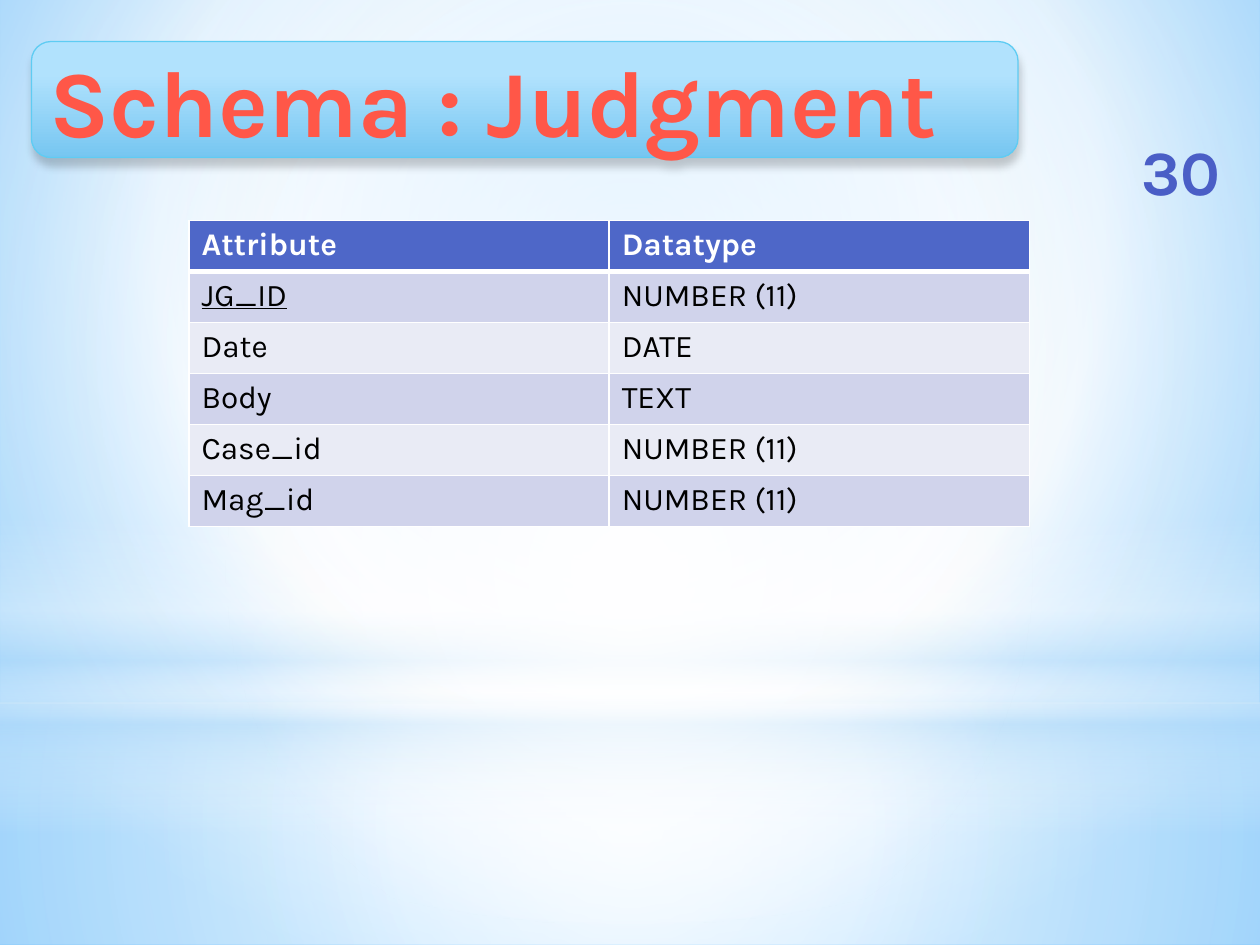
import pptx
import pptx.util
import pptx.dml.color
import pptx.enum.shapes
import pptx.enum.text
import pptx.oxml
import pptx.oxml.ns
from lxml import etree

Inches, Pt = pptx.util.Inches, pptx.util.Pt
RGB = pptx.dml.color.RGBColor
SHAPES = pptx.enum.shapes.MSO_SHAPE
ALIGN = pptx.enum.text.PP_ALIGN
qn = pptx.oxml.ns.qn

FONT = "Karla"
COLORS = {
    "white": "FFFFFF", "black": "000000", "sky": "B4DCFA",
    "bg_inner": "9ED5FF", "bg_outer": "5BB9FF",
    "title_top": "B1E2FD", "title_bottom": "76C6F1", "title_line": "5ECCF3",
    "title_text": "FF5748", "number": "4A5EC6",
    "header": "4E67C8", "band_dark": "D0D3EB", "band_light": "E9EBF5",
}
TITLE = "Schema : Judgment"
SLIDE_NUMBER = "30"
KEY = "JG_ID"
ATTRIBUTES = [
    ("Attribute", "Datatype"),
    (KEY, "NUMBER (11)"),
    ("Date", "DATE"),
    ("Body", "TEXT"),
    ("Case_id", "NUMBER (11)"),
    ("Mag_id", "NUMBER (11)"),
]
CENTER = (50, 50, 50, 50)
BACKGROUND = [(0, "bg_inner", 100), (60, "white", 100), (100, "bg_outer", 100)]
GLOWS = [
    (SHAPES.RECTANGLE, 5.58, 1.92, CENTER,
     [(0, "white", 91), (37, "white", 76), (100, "sky", 79)]),
    (SHAPES.RECTANGLE, 0, 5.58, CENTER,
     [(0, "white", 89), (48, "white", 62), (100, "sky", 79)]),
    (SHAPES.RECTANGLE, 4.12, 2.5, None,
     [(0, "white", 0), (29, "white", 30), (45, "sky", 40),
      (55, "white", 26), (65, "sky", 60), (100, "white", 0)]),
    (SHAPES.OVAL, 1.75, 5.58, CENTER, [(0, "white", 100), (56, "white", 0)]),
]


def color(name):
    return RGB.from_string(COLORS[name])


def add(parent, tag, **attributes):
    return etree.SubElement(parent, qn(tag), {k: str(v) for k, v in attributes.items()})


def add_color(parent, name, opacity=100):
    node = add(parent, "a:srgbClr", val=COLORS[name])
    if opacity < 100:
        add(node, "a:alpha", val=opacity * 1000)


def set_gradient(properties, stops, focus=None):
    solid = properties.find(qn("a:solidFill"))
    gradient = etree.Element(qn("a:gradFill"), rotWithShape="1")
    stop_list = add(gradient, "a:gsLst")
    for position, name, opacity in stops:
        add_color(add(stop_list, "a:gs", pos=position * 1000), name, opacity)
    if focus:
        circle = add(gradient, "a:path", path="circle")
        add(circle, "a:fillToRect", **{k: v * 1000 for k, v in zip("ltrb", focus)})
    else:
        add(gradient, "a:lin", ang=90 * 60000, scaled=0)
    properties.replace(solid, gradient)


def add_gradient_shape(slide, kind, box, stops, focus=None):
    shape = slide.shapes.add_shape(kind, *map(Inches, box))
    shape.shadow.inherit = False
    shape.line.fill.background()
    shape.fill.solid()
    set_gradient(shape._element.spPr, stops, focus)
    return shape


def write(frame, text, size, name, bold=False, align=ALIGN.LEFT, underline=False):
    paragraph = frame.paragraphs[0]
    paragraph.alignment = align
    run = paragraph.add_run()
    run.text = text
    font = run.font
    font.name, font.size, font.bold = FONT, Pt(size), bold
    font.underline = underline
    font.color.rgb = color(name)


def set_borders(cell, top, bottom):
    properties = cell._tc.get_or_add_tcPr()
    widths = [("L", 1), ("R", 1), ("T", top), ("B", bottom)]
    for index, (side, width) in enumerate(widths):
        line = etree.Element(qn("a:ln" + side), w=str(Pt(width)))
        add_color(add(line, "a:solidFill"), "white")
        properties.insert(index, line)


def add_attributes(slide):
    table = slide.shapes.add_table(
        len(ATTRIBUTES), 2, Inches(1.5), Inches(1.75), Inches(6.67), Inches(2.43)).table
    for r, row in enumerate(ATTRIBUTES):
        header = r == 0
        fill = "header" if header else ("band_light", "band_dark")[r % 2]
        for c, text in enumerate(row):
            cell = table.cell(r, c)
            cell.fill.solid()
            cell.fill.fore_color.rgb = color(fill)
            set_borders(cell, 3 if r == 1 else 1, 3 if header else 1)
            write(cell.text_frame, text, 18, "white" if header else "black",
                  bold=header, underline=text == KEY)


def add_title(slide):
    title = add_gradient_shape(slide, SHAPES.ROUNDED_RECTANGLE, (0.25, 0.33, 7.83, 0.92),
                               [(28, "title_top", 100), (100, "title_bottom", 100)])
    title.line.color.rgb = color("title_line")
    title.line.width = Pt(0.75)
    effects = title._element.spPr.find(qn("a:effectLst"))
    shadow = add(effects, "a:outerShdw", blurRad=Pt(5), dist=Pt(4),
                 dir=90 * 60000, rotWithShape=0)
    add_color(shadow, "black", 20)
    title.text_frame.word_wrap = True
    title.text_frame.vertical_anchor = pptx.enum.text.MSO_ANCHOR.MIDDLE
    write(title.text_frame, TITLE, 54, "title_text", bold=True)


def add_slide_number(slide):
    box = slide.shapes.add_textbox(Inches(8.88), Inches(1.08), Inches(0.98), Inches(0.54))
    box.text_frame.word_wrap = True
    box.text_frame.vertical_anchor = pptx.enum.text.MSO_ANCHOR.MIDDLE
    write(box.text_frame, SLIDE_NUMBER, 36, "number", bold=True, align=ALIGN.CENTER)


def main():
    deck = pptx.Presentation()
    deck.slide_width, deck.slide_height = Inches(10), Inches(7.5)
    slide = deck.slides.add_slide(deck.slide_layouts[6])
    slide.background.fill.solid()
    set_gradient(slide._element.find(".//" + qn("p:bgPr")), BACKGROUND, (20, 10, 20, 60))
    for kind, top, height, focus, stops in GLOWS:
        add_gradient_shape(slide, kind, (0, top, 10, height), stops, focus)
    add_attributes(slide)
    add_title(slide)
    add_slide_number(slide)
    deck.save("out.pptx")


if __name__ == "__main__":
    main()
